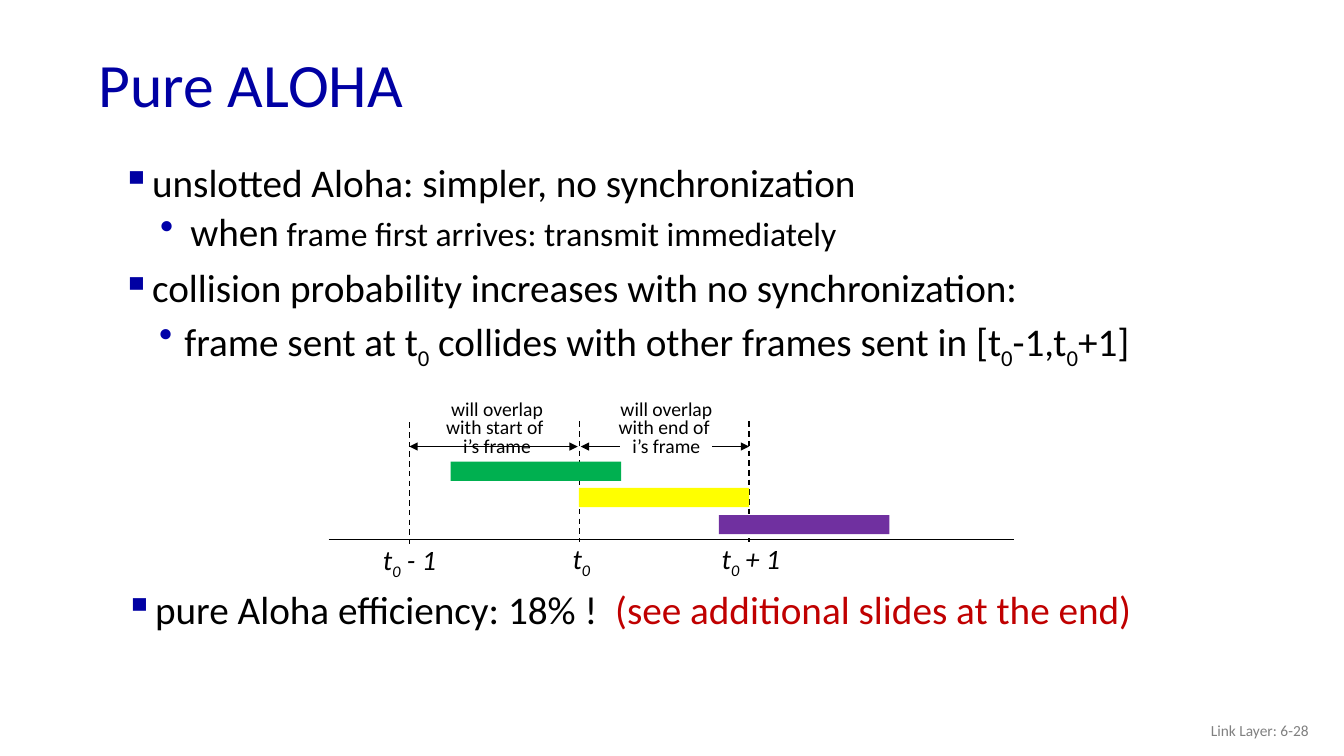
from lxml import etree
from pptx import Presentation
from pptx.dml.color import RGBColor
from pptx.enum.dml import MSO_LINE
from pptx.enum.shapes import MSO_CONNECTOR, MSO_SHAPE
from pptx.enum.text import MSO_ANCHOR, PP_ALIGN
from pptx.oxml.ns import qn
from pptx.util import Inches, Pt

FONT = "Calibri"
BLACK, NAVY, RED, GRAY = "000000", "0000A3", "C00000", "808080"

# Runs are (text, changes); "sub" marks a subscript.
SUB_ZERO = ("0", {"sub": True})
SQUARE = {"bullet": "▪", "bullet_color": NAVY, "before": 10, "left": 0.44, "hang": 0.3}
ROUND = {"bullet": "•", "bullet_color": "0000A8", "before": 5, "left": 0.82, "hang": 0.3}
ROUND_TIGHT = {**ROUND, "left": 0.76, "hang": 0.25}

MAIN_POINTS = [
    (SQUARE, [("unslotted Aloha: simpler, no synchronization", {})]),
    (ROUND, [("when", {}), (" frame first arrives: transmit immediately", {"size": 24})]),
    (SQUARE, [("collision probability increases with no synchronization:", {})]),
    (ROUND_TIGHT, [("frame sent at t", {}), SUB_ZERO,
                   (" collides with other frames sent in [t", {}), SUB_ZERO,
                   ("-1,t", {}), SUB_ZERO, ("+1]", {})]),
]
EFFICIENCY = [
    (SQUARE, [("pure Aloha efficiency: 18% !  ", {}),
              ("(see additional slides at the end)", {"color": RED})]),
]

# Time marks: x, top, bottom, label box, text after the subscript
TIME_MARKS = [
    (4.06, 4.19, 5.4, (3.7, 5.33, 0.75, 0.44), " - 1"),
    (5.75, 4.18, 5.38, (5.58, 5.32, 0.39, 0.44), ""),
    (7.43, 4.18, 5.38, (7.06, 5.32, 0.8, 0.44), " + 1"),
]
SPANS = [(4.06, 5.73), (5.76, 7.43)]
SPAN_Y = 4.43
AXIS = (3.26, 10.06, 5.35)
FRAME_SIZE = (1.69, 0.19)
FRAMES = [(4.47, 4.58, "00B050"), (5.74, 4.84, "FFFF00"), (7.13, 5.11, "7030A0")]
OVERLAP_NOTES = [
    ((4.32, 3.93, 1.22, 0.67), "with start of "),
    ((6.03, 3.93, 1.16, 0.67), "with end of "),
]

presentation = Presentation()
presentation.slide_width, presentation.slide_height = Inches(13.33), Inches(7.5)
slide = presentation.slides.add_slide(presentation.slide_layouts[6])


def rgb(color):
    return RGBColor.from_string(color)


def set_bullet(paragraph, style):
    properties = paragraph._p.get_or_add_pPr()
    properties.set("marL", str(Inches(style["left"])))
    properties.set("indent", str(-Inches(style["hang"])))
    bullet_color = etree.SubElement(properties, qn("a:buClr"))
    etree.SubElement(bullet_color, qn("a:srgbClr"), val=style["bullet_color"])
    etree.SubElement(properties, qn("a:buChar"), char=style["bullet"])


def add_text(box, paragraphs, size, color=BLACK, align=PP_ALIGN.LEFT, spacing=1.0,
             wrap=True, anchor=MSO_ANCHOR.TOP, italic=False):
    """Add a text box from (bullet style, runs) paragraphs."""
    frame = slide.shapes.add_textbox(*map(Inches, box)).text_frame
    frame.word_wrap = wrap
    frame.vertical_anchor = anchor
    for index, (style, runs) in enumerate(paragraphs):
        paragraph = frame.add_paragraph() if index else frame.paragraphs[0]
        if style:
            set_bullet(paragraph, style)
            if index:
                paragraph.space_before = Pt(style["before"])
        paragraph.alignment = align
        paragraph.line_spacing = spacing
        for text, changes in runs:
            run = paragraph.add_run()
            run.text = text
            run.font.name = FONT
            run.font.size = Pt(changes.get("size", size))
            run.font.italic = italic
            run.font.color.rgb = rgb(changes.get("color", color))
            if changes.get("sub"):
                run._r.get_or_add_rPr().set("baseline", "-25000")


def add_line(x1, y1, x2, y2, dashed=False, arrows=False):
    connector = slide.shapes.add_connector(
        MSO_CONNECTOR.STRAIGHT, *map(Inches, (x1, y1, x2, y2)))
    connector.line.color.rgb = rgb(BLACK)
    connector.line.width = Pt(1)
    if dashed:
        connector.line.dash_style = MSO_LINE.DASH
    properties = connector._element.spPr
    if arrows:
        line = properties.find(qn("a:ln"))
        for end in ("a:headEnd", "a:tailEnd"):
            etree.SubElement(line, qn(end), type="triangle")
    etree.SubElement(properties, qn("a:effectLst"))


def add_bar(box, color):
    bar = slide.shapes.add_shape(MSO_SHAPE.RECTANGLE, *map(Inches, box))
    bar.shadow.inherit = False
    bar.fill.solid()
    bar.fill.fore_color.rgb = rgb(color)
    bar.line.fill.background()


add_text((0.88, 0.38, 11.5, 0.98), [(None, [("Pure ALOHA", {})])], 44, NAVY,
         spacing=0.9, anchor=MSO_ANCHOR.MIDDLE)
add_text((10.08, 7.05, 3, 0.4), [(None, [("Link Layer: 6-28", {})])], 11, GRAY,
         PP_ALIGN.RIGHT, anchor=MSO_ANCHOR.MIDDLE)
add_text((0.97, 1.57, 11.5, 2.53), MAIN_POINTS, 28, spacing=0.9)

for start, end in SPANS:
    add_line(start, SPAN_Y, end, SPAN_Y, arrows=True)
add_bar((6.15, 4.39, 0.91, 0.06), "FFFFFF")
axis_start, axis_end, axis_y = AXIS
add_line(axis_start, axis_y, axis_end, axis_y)
for x, top, bottom, label_box, offset in TIME_MARKS:
    add_line(x, top, x, bottom, dashed=True)
    label = [("t", {}), SUB_ZERO] + ([(offset, {})] if offset else [])
    add_text(label_box, [(None, label)], 20, wrap=False, italic=True)
for x, y, color in FRAMES:
    add_bar((x, y, *FRAME_SIZE), color)
for box, middle in OVERLAP_NOTES:
    lines = [(None, [(text, {})]) for text in ("will overlap", middle, "i’s frame")]
    add_text(box, lines, 14, align=PP_ALIGN.CENTER, spacing=0.8, wrap=False)

add_text((1, 5.81, 11.5, 0.68), EFFICIENCY, 28, spacing=0.9)

presentation.save("out.pptx")
